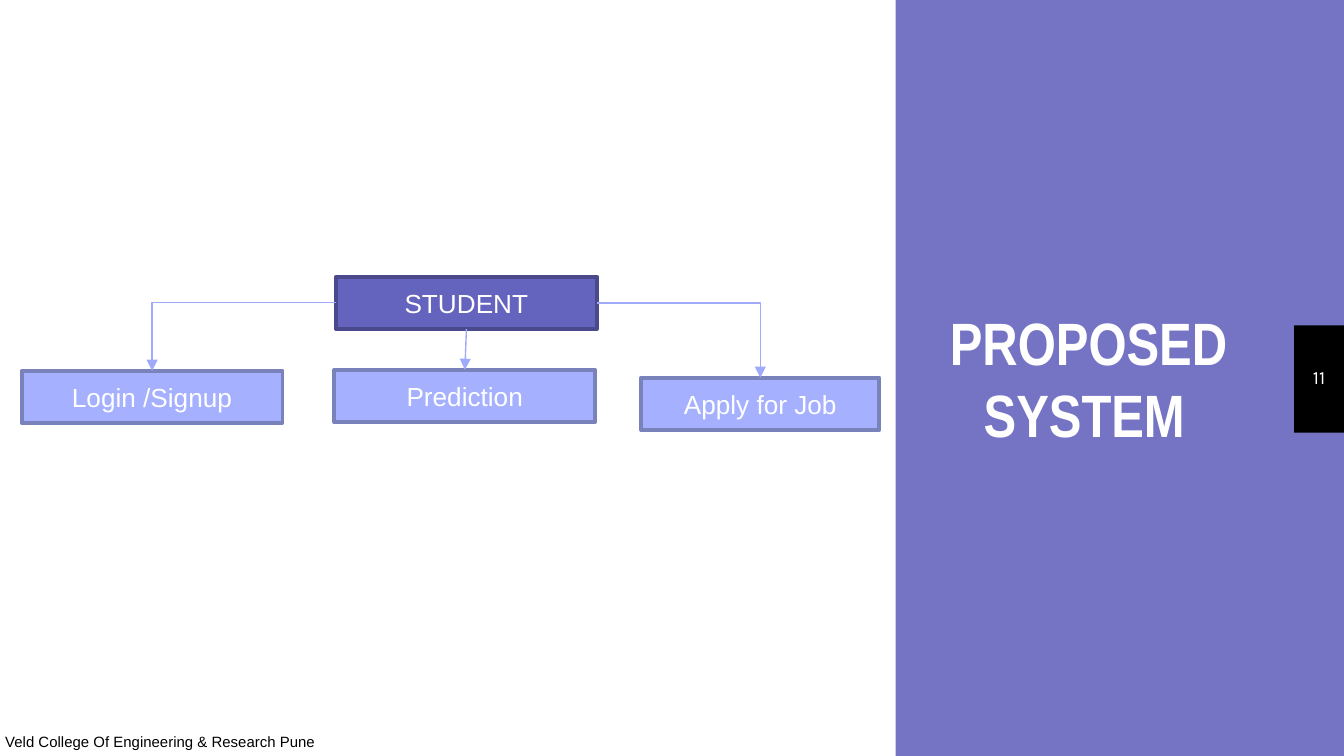
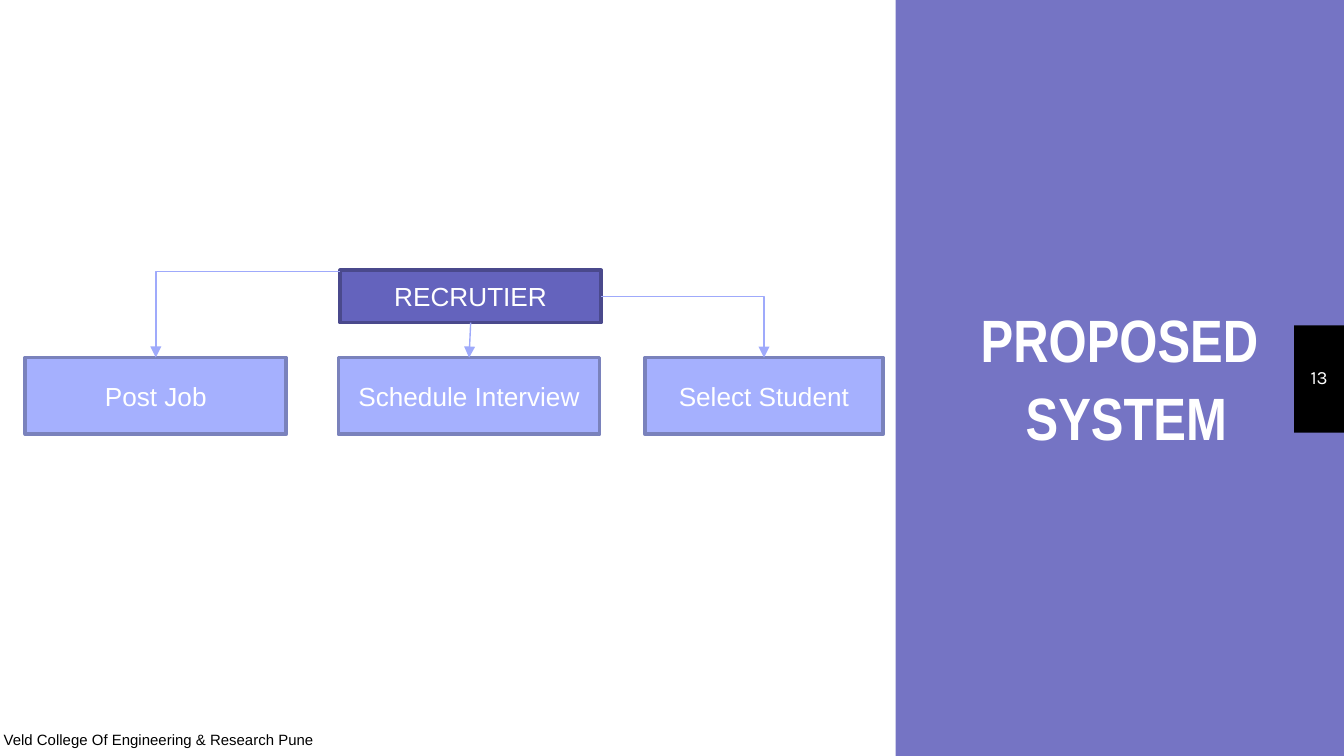
from dataclasses import dataclass

from lxml.etree import SubElement
from pptx import Presentation
from pptx.dml.color import RGBColor
from pptx.enum.shapes import MSO_CONNECTOR, MSO_SHAPE
from pptx.enum.text import MSO_ANCHOR, MSO_AUTO_SIZE, PP_ALIGN
from pptx.oxml.ns import qn
from pptx.util import Cm, Pt

BACKDROP = "7574C4"
WHITE = "FFFFFF"
BLACK = "000000"
ARROW = "9FAAFB"

BODY_FONT = "Arial"
TITLE_FONT = "Arial Narrow"
PAGE_FONT = "Karla"
FOOTER = "Veld College Of Engineering & Research Pune"


@dataclass(frozen=True)
class Box:
    x: float
    y: float
    w: float
    h: float

    @property
    def mid_x(self) -> float:
        return self.x + self.w / 2

    @property
    def mid_y(self) -> float:
        return self.y + self.h / 2

    @property
    def right(self) -> float:
        return self.x + self.w

    @property
    def bottom(self) -> float:
        return self.y + self.h

    def lengths(self) -> tuple:
        return tuple(Cm(v) for v in (self.x, self.y, self.w, self.h))


@dataclass(frozen=True)
class Style:
    fill: str
    line: str


@dataclass(frozen=True)
class Node:
    text: str
    box: Box


@dataclass(frozen=True)
class Heading:
    lines: tuple
    box: Box
    anchor: MSO_ANCHOR
    align: PP_ALIGN
    inset_y: float
    autosize: MSO_AUTO_SIZE


@dataclass(frozen=True)
class RoleSlide:
    page: str
    heading: Heading
    role: Node
    left: Node
    middle: Node
    right: Node
    left_exit_y: float
    footer: Box


ROLE = Style("6463BD", "4A498C")
ACTION = Style("A5B0FE", "7A82BC")

PANEL = Box(0, 0, 16.93, 14.29)
PAGE_TAB = Box(24.46, 6.15, 0.94, 2.03)
PAGE_NUMBER = Box(24.46, 6.12, 0.94, 2.03)

NODE_W, RIGHT_W = 4.93, 4.5
NODE_H, TALL_H = 0.99, 1.45

SLIDES = (
    RoleSlide(
        page="11",
        heading=Heading(("PROPOSED SYSTEM",), Box(17.07, 1.22, 7.65, 11.84),
                        MSO_ANCHOR.MIDDLE, PP_ALIGN.LEFT, 0.25, MSO_AUTO_SIZE.NONE),
        role=Node("STUDENT", Box(6.35, 5.23, NODE_W, NODE_H)),
        left=Node("Login /Signup", Box(0.41, 7.01, NODE_W, NODE_H)),
        middle=Node("Prediction", Box(6.32, 6.99, NODE_W, NODE_H)),
        right=Node("Apply for Job", Box(12.12, 7.14, RIGHT_W, NODE_H)),
        left_exit_y=5.72,
        footer=Box(-0.15, 13.77, 9.19, 0.56),
    ),
    RoleSlide(
        page="13",
        heading=Heading(("PROPOSED ", "SYSTEM"), Box(16.1, 5.59, 9.75, 3.12),
                        MSO_ANCHOR.TOP, PP_ALIGN.CENTER, 0.13,
                        MSO_AUTO_SIZE.SHAPE_TO_FIT_TEXT),
        role=Node("RECRUTIER", Box(6.43, 5.11, NODE_W, NODE_H)),
        left=Node("Post Job", Box(0.48, 6.76, NODE_W, TALL_H)),
        middle=Node("Schedule Interview", Box(6.4, 6.76, NODE_W, TALL_H)),
        right=Node("Select Student", Box(12.19, 6.76, RIGHT_W, TALL_H)),
        left_exit_y=5.13,
        footer=Box(-0.18, 13.72, 9.19, 0.56),
    ),
)


def rgb(color: str) -> RGBColor:
    return RGBColor.from_string(color)


def add_run(p, text: str, font: str, size: float, color: str, bold: bool = False) -> None:
    r = p.add_run()
    r.text = text
    r.font.name = font
    r.font.size = Pt(size)
    r.font.bold = bold
    r.font.color.rgb = rgb(color)


def add_rect(slide, box: Box, fill: str):
    sp = slide.shapes.add_shape(MSO_SHAPE.RECTANGLE, *box.lengths())
    sp.shadow.inherit = False
    sp.fill.solid()
    sp.fill.fore_color.rgb = rgb(fill)
    sp.line.fill.background()
    return sp


def add_node(slide, node: Node, style: Style) -> None:
    sp = add_rect(slide, node.box, style.fill)
    sp.line.color.rgb = rgb(style.line)
    sp.line.width = Pt(2)
    tf = sp.text_frame
    tf.word_wrap = True
    tf.vertical_anchor = MSO_ANCHOR.MIDDLE
    p = tf.paragraphs[0]
    p.alignment = PP_ALIGN.CENTER
    add_run(p, node.text, BODY_FONT, 14, WHITE)


def add_arrow(slide, kind: MSO_CONNECTOR, x1: float, y1: float, x2: float, y2: float):
    cxn = slide.shapes.add_connector(kind, Cm(x1), Cm(y1), Cm(x2), Cm(y2))
    cxn.line.color.rgb = rgb(ARROW)
    cxn.line.width = Pt(0.75)
    sp_pr = cxn._element.spPr
    SubElement(sp_pr.find(qn("a:ln")), qn("a:tailEnd"), type="triangle")
    SubElement(sp_pr, qn("a:effectLst"))
    return cxn


def add_bent_arrow(slide, x1: float, y1: float, x2: float, y2: float) -> None:
    to_left = x2 < x1
    ends = (x2, y2, x1, y1) if to_left else (x1, y1, x2, y2)
    cxn = add_arrow(slide, MSO_CONNECTOR.ELBOW, *ends)
    sp_pr = cxn._element.spPr
    sp_pr.find(qn("a:prstGeom")).set("prst", "bentConnector2")
    if to_left:
        sp_pr.find(qn("a:xfrm")).set("rot", "10800000")


def add_tree(slide, spec: RoleSlide) -> None:
    add_node(slide, spec.role, ROLE)
    for node in (spec.right, spec.middle, spec.left):
        add_node(slide, node, ACTION)
    role, left, middle, right = (
        n.box for n in (spec.role, spec.left, spec.middle, spec.right))
    add_bent_arrow(slide, role.x, spec.left_exit_y, left.mid_x, left.y)
    add_bent_arrow(slide, role.right, role.mid_y, right.mid_x, right.y)
    add_arrow(slide, MSO_CONNECTOR.STRAIGHT,
              role.mid_x, role.bottom, middle.mid_x, middle.y)


def set_title(slide, heading: Heading) -> None:
    sp = slide.shapes.title
    sp.left, sp.top, sp.width, sp.height = heading.box.lengths()
    tf = sp.text_frame
    tf.word_wrap = True
    tf.auto_size = heading.autosize
    tf.vertical_anchor = heading.anchor
    tf.margin_left = tf.margin_right = Cm(0.25)
    tf.margin_top = tf.margin_bottom = Cm(heading.inset_y)
    for i, line in enumerate(heading.lines):
        p = tf.add_paragraph() if i else tf.paragraphs[0]
        p.alignment = heading.align
        p.space_before = Pt(3.6)
        p_pr = p._p.get_or_add_pPr()
        p_pr.set("marL", str(Cm(1.27)))
        p_pr.set("indent", str(-Cm(0.64)))
        add_run(p, line, TITLE_FONT, 32, WHITE, bold=True)


def add_frame(slide, page: str) -> None:
    add_rect(slide, PAGE_TAB, BLACK)
    add_rect(slide, PANEL, WHITE)
    tf = slide.shapes.add_textbox(*PAGE_NUMBER.lengths()).text_frame
    tf.word_wrap = True
    tf.vertical_anchor = MSO_ANCHOR.MIDDLE
    tf.margin_left = tf.margin_right = tf.margin_top = tf.margin_bottom = Cm(0.25)
    p = tf.paragraphs[0]
    p.alignment = PP_ALIGN.CENTER
    add_run(p, page, PAGE_FONT, 10, WHITE)


def add_footer(slide, box: Box) -> None:
    tf = slide.shapes.add_textbox(*box.lengths()).text_frame
    tf.word_wrap = True
    p = tf.paragraphs[0]
    p.line_spacing = 0.9
    p.space_before = Pt(10)
    p.space_after = Pt(6)
    add_run(p, FOOTER, BODY_FONT, 8, BLACK)


def main() -> None:
    prs = Presentation()
    prs.slide_width, prs.slide_height = Cm(25.4), Cm(14.29)
    fill = prs.slide_master.background.fill
    fill.solid()
    fill.fore_color.rgb = rgb(BACKDROP)
    for content in SLIDES:
        slide = prs.slides.add_slide(prs.slide_layouts[5])
        add_frame(slide, content.page)
        add_tree(slide, content)
        add_footer(slide, content.footer)
        set_title(slide, content.heading)
    prs.save("out.pptx")


if __name__ == "__main__":
    main()
